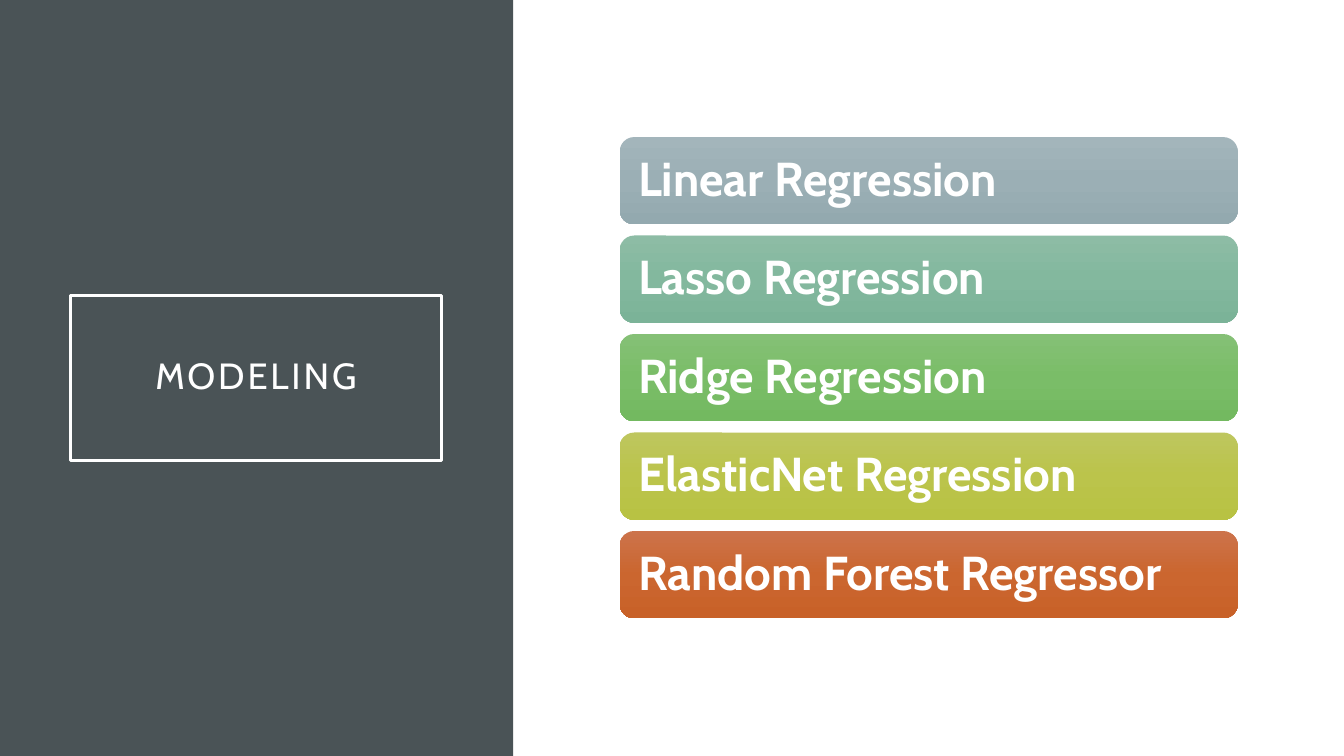
from copy import deepcopy
from dataclasses import dataclass

from pptx import Presentation
from pptx.dml.color import RGBColor
from pptx.enum.shapes import MSO_SHAPE
from pptx.enum.text import MSO_ANCHOR, PP_ALIGN
from pptx.shapes.autoshape import Shape
from pptx.slide import Slide
from pptx.util import Pt

FONT = "Cabin"
WHITE = RGBColor(0xFF, 0xFF, 0xFF)
SLATE = RGBColor(0x4A, 0x53, 0x56)
GREY = (RGBColor(0xA3, 0xB5, 0xBB), RGBColor(0x9B, 0xAF, 0xB5), RGBColor(0x93, 0xA9, 0xAF))
TEAL = (RGBColor(0x8D, 0xBC, 0xA5), RGBColor(0x83, 0xB8, 0x9E), RGBColor(0x7B, 0xB3, 0x98))
GREEN = (RGBColor(0x85, 0xC0, 0x76), RGBColor(0x7A, 0xBD, 0x68), RGBColor(0x73, 0xB9, 0x60))
LIME = (RGBColor(0xBE, 0xC6, 0x5E), RGBColor(0xBB, 0xC4, 0x4B), RGBColor(0xB8, 0xC2, 0x43))
RUST = (RGBColor(0xCC, 0x73, 0x4B), RGBColor(0xCB, 0x66, 0x2F), RGBColor(0xC8, 0x61, 0x28))

BAR_TOP = 97.9
BAR_STEP = 70.35


@dataclass
class Box:
    left: float
    top: float
    width: float
    height: float


@dataclass
class Model:
    name: str
    shades: tuple[RGBColor, RGBColor, RGBColor]


MODELS = [
    Model("Linear Regression", GREY),
    Model("Lasso Regression", TEAL),
    Model("Ridge Regression", GREEN),
    Model("ElasticNet Regression", LIME),
    Model("Random Forest Regressor", RUST),
]


def add_box(slide: Slide, kind: MSO_SHAPE, box: Box) -> Shape:
    shape = slide.shapes.add_shape(
        kind, Pt(box.left), Pt(box.top), Pt(box.width), Pt(box.height))
    shape.shadow.inherit = False
    shape.line.fill.background()
    return shape


def add_text(shape: Shape, text: str, size: float, inset: float,
             align: PP_ALIGN, bold: bool = False, track: float = 0) -> None:
    frame = shape.text_frame
    frame.word_wrap = True
    frame.vertical_anchor = MSO_ANCHOR.MIDDLE
    frame.margin_left = frame.margin_right = Pt(inset)
    frame.margin_top = frame.margin_bottom = Pt(inset)
    para = frame.paragraphs[0]
    para.alignment = align
    para.line_spacing = 0.9
    run = para.add_run()
    run.text = text
    run.font.name = FONT
    run.font.size = Pt(size)
    run.font.bold = bold
    run.font.color.rgb = WHITE
    if track:
        # Letter spacing is in hundredths of a point
        run.font._element.set("spc", str(round(track * 100)))


def shade(shape: Shape, shades: tuple[RGBColor, RGBColor, RGBColor]) -> None:
    fill = shape.fill
    fill.gradient()
    fill.gradient_angle = 270
    # Add a middle stop to the two default ones
    first = fill.gradient_stops[0]._gs
    first.addnext(deepcopy(first))
    for i, (stop, color) in enumerate(zip(fill.gradient_stops, shades)):
        stop.position = i / 2
        stop.color.rgb = color


def main() -> None:
    deck = Presentation()
    deck.slide_width, deck.slide_height = Pt(960), Pt(540)
    slide = deck.slides.add_slide(deck.slide_layouts[6])

    # Side panel
    panel = add_box(slide, MSO_SHAPE.RECTANGLE, Box(0, 0, 366.5, 540))
    panel.fill.solid()
    panel.fill.fore_color.rgb = SLATE

    # Framed title
    title = add_box(slide, MSO_SHAPE.RECTANGLE, Box(50.4, 211, 265, 118))
    title.fill.background()
    title.line.color.rgb = WHITE
    title.line.width = Pt(2.5)
    add_text(title, "MODELING", 26, 14.4, PP_ALIGN.CENTER, track=2)

    # Model bars
    for i, model in enumerate(MODELS):
        top = BAR_TOP + i * BAR_STEP
        bar = add_box(slide, MSO_SHAPE.ROUNDED_RECTANGLE, Box(442.6, top, 441.6, 62.4))
        shade(bar, model.shades)
        add_text(bar, model.name, 34, 10.2, PP_ALIGN.LEFT, bold=True)

    deck.save("out.pptx")


if __name__ == "__main__":
    main()
